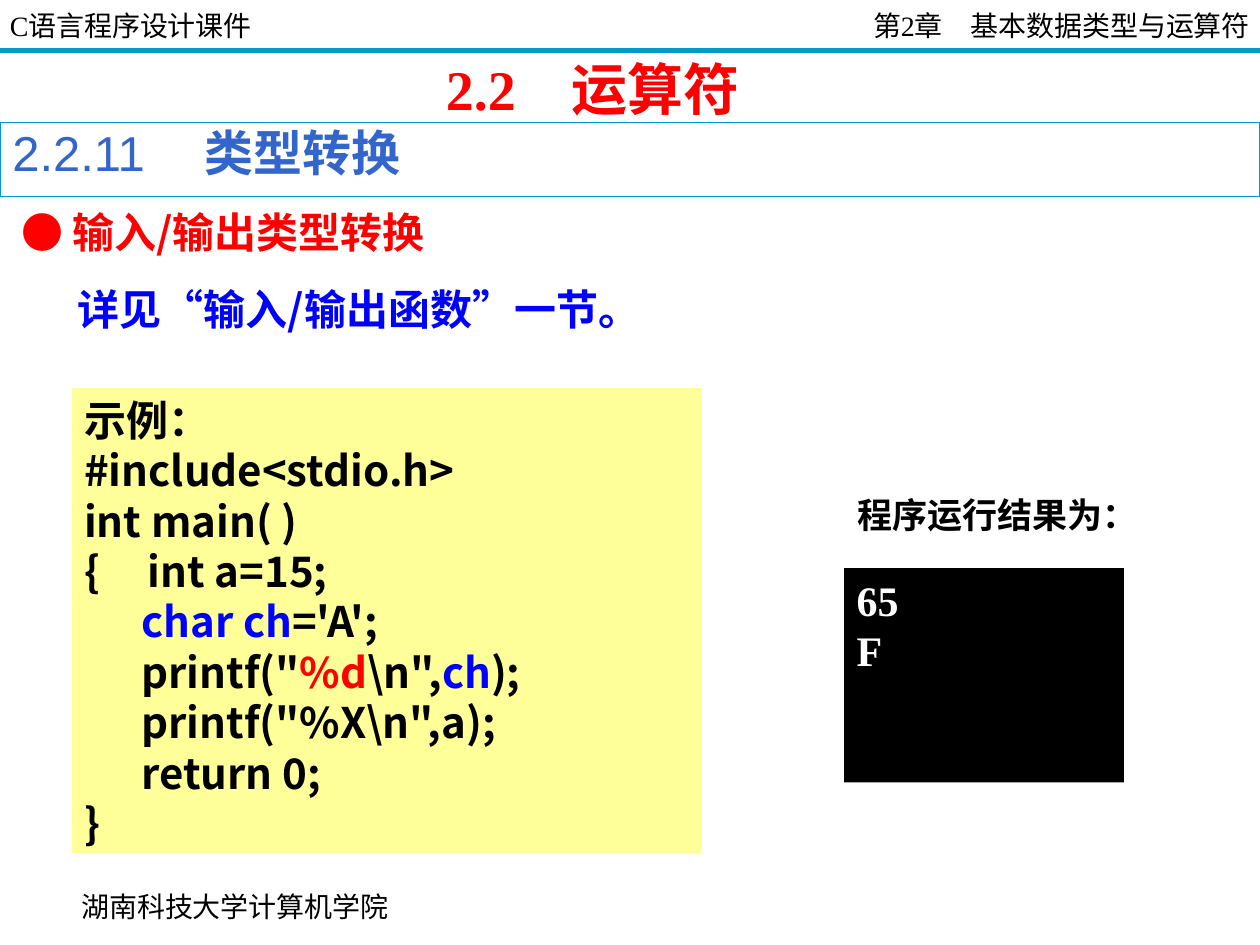
from lxml import etree
from pptx import Presentation
from pptx.dml.color import RGBColor
from pptx.enum import shapes, text
from pptx.oxml.ns import qn
from pptx.util import Inches, Pt

SERIF, SANS, CJK = "Times New Roman", "Arial", "Noto Sans CJK SC"
BLACK, WHITE, RED, BLUE = "000000", "FFFFFF", "FF0000", "0000FF"
TEAL, STEEL, YELLOW = "0099CC", "3366CC", "FFFF99"

CODE = [
    ["示例："],
    ["#include<stdio.h>"],
    ["int main( )"],
    ["{     int a=15;"],
    ["      ", ("char ch", BLUE), "='A';"],
    ['      printf("', ("%d", RED), '\\n",', ("ch", BLUE), ");"],
    ['      printf("%X\\n",a);'],
    ["      return 0;"],
    ["}"],
]


def rgb(hex_color):
    return RGBColor.from_string(hex_color)


def style_run(r, size, font, color, bold):
    r.font.size = Pt(size)
    r.font.bold = bold
    r.font.color.rgb = rgb(color)
    r.font.name = font
    etree.SubElement(r._r.get_or_add_rPr(), qn("a:ea"), typeface=CJK)


def add_run(p, content, size, font, color, bold=False):
    r = p.add_run()
    r.text = content
    style_run(r, size, font, color, bold)


def set_frame(tf, wrap=True, anchor=text.MSO_ANCHOR.TOP, top=0.05):
    tf.word_wrap = wrap
    tf.vertical_anchor = anchor
    tf.margin_left = tf.margin_right = Inches(0.1)
    tf.margin_top, tf.margin_bottom = Inches(top), Inches(0.05)


def add_label(slide, box, content, size, font, color, bold=False,
              align=text.PP_ALIGN.LEFT, **frame):
    tf = slide.shapes.add_textbox(*map(Inches, box)).text_frame
    set_frame(tf, **frame)
    p = tf.paragraphs[0]
    p.text = content
    p.alignment = align
    style_run(p.runs[0], size, font, color, bold)


def add_panel(slide, box, fill=None, line=None, **frame):
    """Add a rectangle and return its text frame."""
    sp = slide.shapes.add_shape(shapes.MSO_SHAPE.RECTANGLE, *map(Inches, box))
    sp.shadow.inherit = False
    if fill:
        sp.fill.solid()
        sp.fill.fore_color.rgb = rgb(fill)
    else:
        sp.fill.background()
    if line:
        sp.line.color.rgb = rgb(line)
        sp.line.width = Pt(0.75)
    else:
        sp.line.fill.background()
    set_frame(sp.text_frame, **frame)
    return sp.text_frame


def add_lines(tf, lines, size, font, color):
    """Write lines of parts; a part is a string or a (string, color) pair."""
    for i, parts in enumerate(lines):
        p = tf.add_paragraph() if i else tf.paragraphs[0]
        p.alignment = text.PP_ALIGN.LEFT
        for part in parts:
            content, part_color = (part, color) if isinstance(part, str) else part
            add_run(p, content, size, font, part_color, bold=True)


def add_rule(slide, y, color, width):
    line = slide.shapes.add_connector(
        shapes.MSO_CONNECTOR.STRAIGHT, 0, Inches(y), Inches(10), Inches(y))
    line.line.color.rgb = rgb(color)
    line.line.width = Pt(width)
    etree.SubElement(line._element.spPr, qn("a:effectLst"))


def add_header_and_footer(slide):
    middle = text.MSO_ANCHOR.MIDDLE
    add_rule(slide, 0.4, TEAL, 3)
    add_label(slide, (-0.02, 0.02, 4, 0.36), "C语言程序设计课件",
              16, SERIF, BLACK, anchor=middle)
    add_label(slide, (5.02, 0.02, 5, 0.36), "第2章　基本数据类型与运算符",
              16, SERIF, BLACK, align=text.PP_ALIGN.RIGHT, anchor=middle)
    add_label(slide, (0.45, 6.94, 2.83, 0.5), "湖南科技大学计算机学院",
              16, SERIF, BLACK, align=text.PP_ALIGN.CENTER, wrap=False, anchor=middle)


def add_section_bar(slide):
    p = add_panel(slide, (0, 0.97, 10, 0.59), line=TEAL, top=0).paragraphs[0]
    p.alignment = text.PP_ALIGN.LEFT
    add_run(p, "2.2.11\u3000 ", 28, SANS, STEEL)
    add_run(p, "类型转换", 28, CJK, STEEL, bold=True)


def main():
    prs = Presentation()
    prs.slide_width, prs.slide_height = Inches(10), Inches(7.5)
    slide = prs.slides.add_slide(prs.slide_layouts[6])

    add_header_and_footer(slide)
    add_label(slide, (3.44, 0.38, 3.23, 0.64), "2.2　运算符", 32, SERIF, RED, True)
    add_section_bar(slide)
    add_label(slide, (0.07, 1.59, 9.7, 0.5), "● 输入/输出类型转换", 24, CJK, RED, True)
    add_label(slide, (0.52, 2.2, 5.12, 0.5), "详见“输入/输出函数”一节。",
              24, CJK, BLUE, True)

    code = add_panel(slide, (0.57, 3.08, 5, 3.69), fill=YELLOW)
    add_lines(code, CODE, 24, CJK, BLACK)

    add_label(slide, (6.57, 3.87, 2.42, 0.44), "程序运行结果为：", 20, SERIF, BLACK, True,
              align=text.PP_ALIGN.CENTER, wrap=False)
    output = add_panel(slide, (6.7, 4.51, 2.22, 1.7), fill=BLACK)
    add_lines(output, [["65"], ["F"]], 24, SERIF, WHITE)

    prs.save("out.pptx")


if __name__ == "__main__":
    main()
